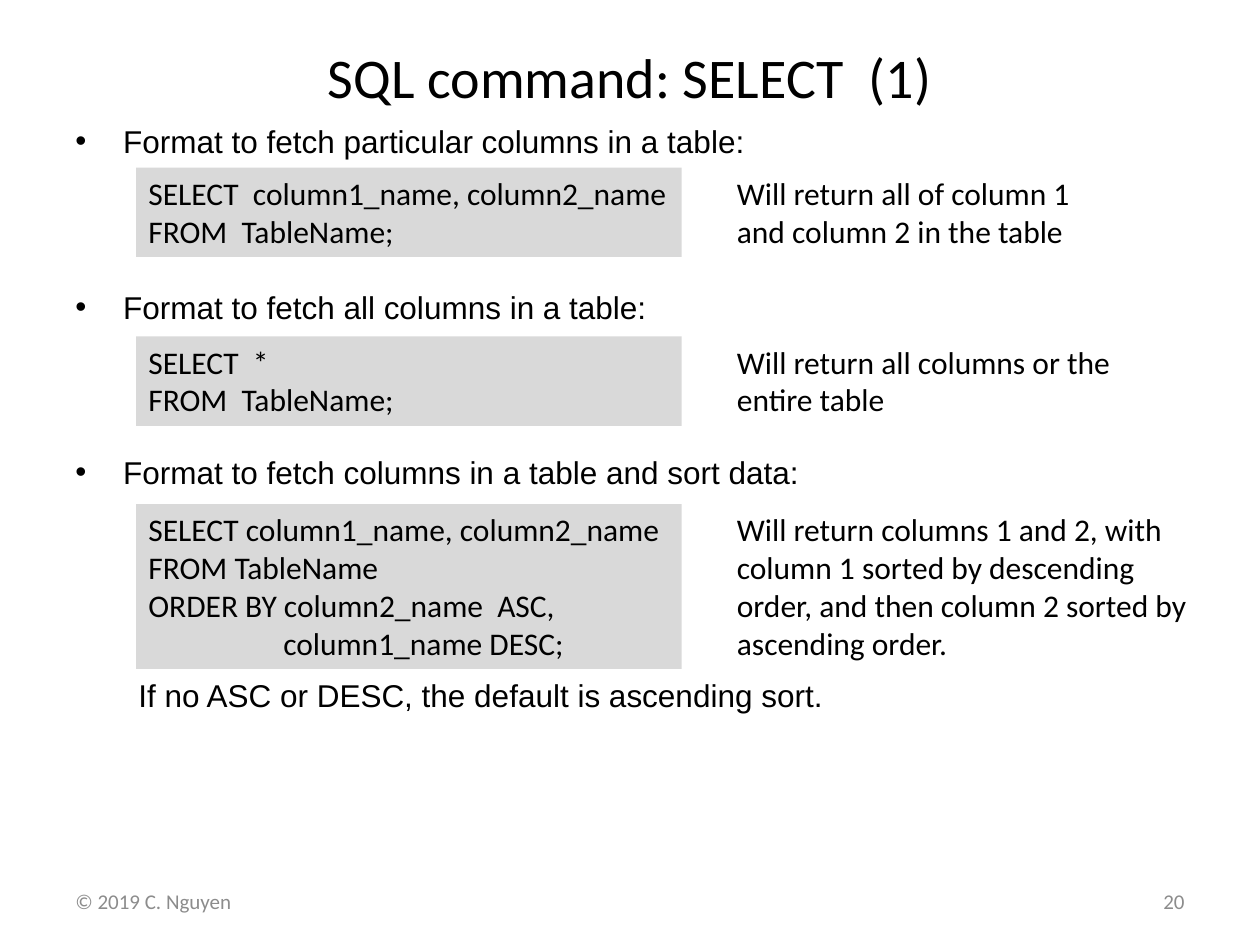
from typing import NamedTuple

from pptx import Presentation
from pptx.dml.color import RGBColor as Rgb
from pptx.enum.shapes import MSO_SHAPE as Shape
from pptx.enum.text import MSO_ANCHOR as Anchor, PP_ALIGN as Align
from pptx.oxml.ns import qn
from pptx.util import Inches, Pt


class Line(NamedTuple):
    text: str
    left: float = 0
    gap: float = 0
    mark: str = ""


class Query(NamedTuple):
    top: float
    high: float
    code: list[Line]
    note: str
    wide: float = 3.25


HANG = 0.38
HEADS = [
    Line("Format to fetch particular columns in a table:", HANG, 2, "•"),
    Line("Format to fetch all columns in a table:", HANG, 73, "•"),
    Line("Format to fetch columns in a table and sort data:", HANG, 73, "•"),
    Line("If no ASC or DESC, the default is ascending sort.", 0.5, 105.5),
]
QUERIES = [
    Query(1.33, 0.71,
          [Line("SELECT  column1_name, column2_name"), Line("FROM  TableName;")],
          "Will return all of column 1 and column 2 in the table"),
    Query(2.67, 0.71,
          [Line("SELECT  *"), Line("FROM  TableName;")],
          "Will return all columns or the entire table"),
    Query(4, 1.31,
          [Line("SELECT column1_name, column2_name"), Line("FROM TableName"),
           Line("ORDER BY column2_name  ASC,"), Line("column1_name DESC;", 1.07)],
          "Will return columns 1 and 2, with column 1 sorted by descending "
          "order, and then column 2 sorted by ascending order.", 3.83),
]


def color(code: str) -> Rgb:
    return Rgb.from_string(code)


def indent(para, line: Line) -> None:
    props = para._p.get_or_add_pPr()
    props.set("marL", str(Inches(line.left)))
    if line.mark:
        props.set("indent", str(-Inches(line.left)))
        font = props.makeelement(qn("a:buFont"), {"typeface": "Arial"})
        mark = props.makeelement(qn("a:buChar"), {"char": line.mark})
        props.extend([font, mark])


def write(shape, lines: list[Line], size: float = 18, font: str = "Calibri",
          ink: str = "000000", align=Align.LEFT, anchor=Anchor.TOP) -> None:
    frame = shape.text_frame
    frame.word_wrap = True
    frame.vertical_anchor = anchor
    for i, line in enumerate(lines):
        para = frame.add_paragraph() if i else frame.paragraphs[0]
        para.alignment = align
        para.space_before = Pt(line.gap)
        indent(para, line)
        run = para.add_run()
        run.text = line.text
        run.font.size = Pt(size)
        run.font.name = font
        run.font.color.rgb = color(ink)


def label(slide, box: tuple, lines: list[Line], **style) -> None:
    write(slide.shapes.add_textbox(*map(Inches, box)), lines, **style)


def draw(slide, query: Query) -> None:
    box = map(Inches, (1.08, query.top, 4.33, query.high))
    panel = slide.shapes.add_shape(Shape.RECTANGLE, *box)
    panel.shadow.inherit = False
    panel.fill.solid()
    panel.fill.fore_color.rgb = color("D9D9D9")
    panel.line.fill.background()
    write(panel, query.code)
    label(slide, (5.75, query.top, query.wide, query.high), [Line(query.note)])


def main() -> None:
    deck = Presentation()
    deck.slide_width, deck.slide_height = Inches(10), Inches(7.5)
    slide = deck.slides.add_slide(deck.slide_layouts[6])
    label(slide, (0.5, 0.17, 9, 0.87), [Line("SQL command: SELECT  (1)")],
          size=32, align=Align.CENTER, anchor=Anchor.MIDDLE)
    label(slide, (0.5, 0.92, 9, 5.83), HEADS, font="Arial")
    for query in QUERIES:
        draw(slide, query)
    for left, text, align in ((0.5, "© 2019 C. Nguyen", Align.LEFT),
                              (7.17, "20", Align.RIGHT)):
        label(slide, (left, 6.95, 2.33, 0.4), [Line(text)], size=12,
              ink="8C8C8C", align=align, anchor=Anchor.MIDDLE)
    deck.save("out.pptx")


if __name__ == "__main__":
    main()
